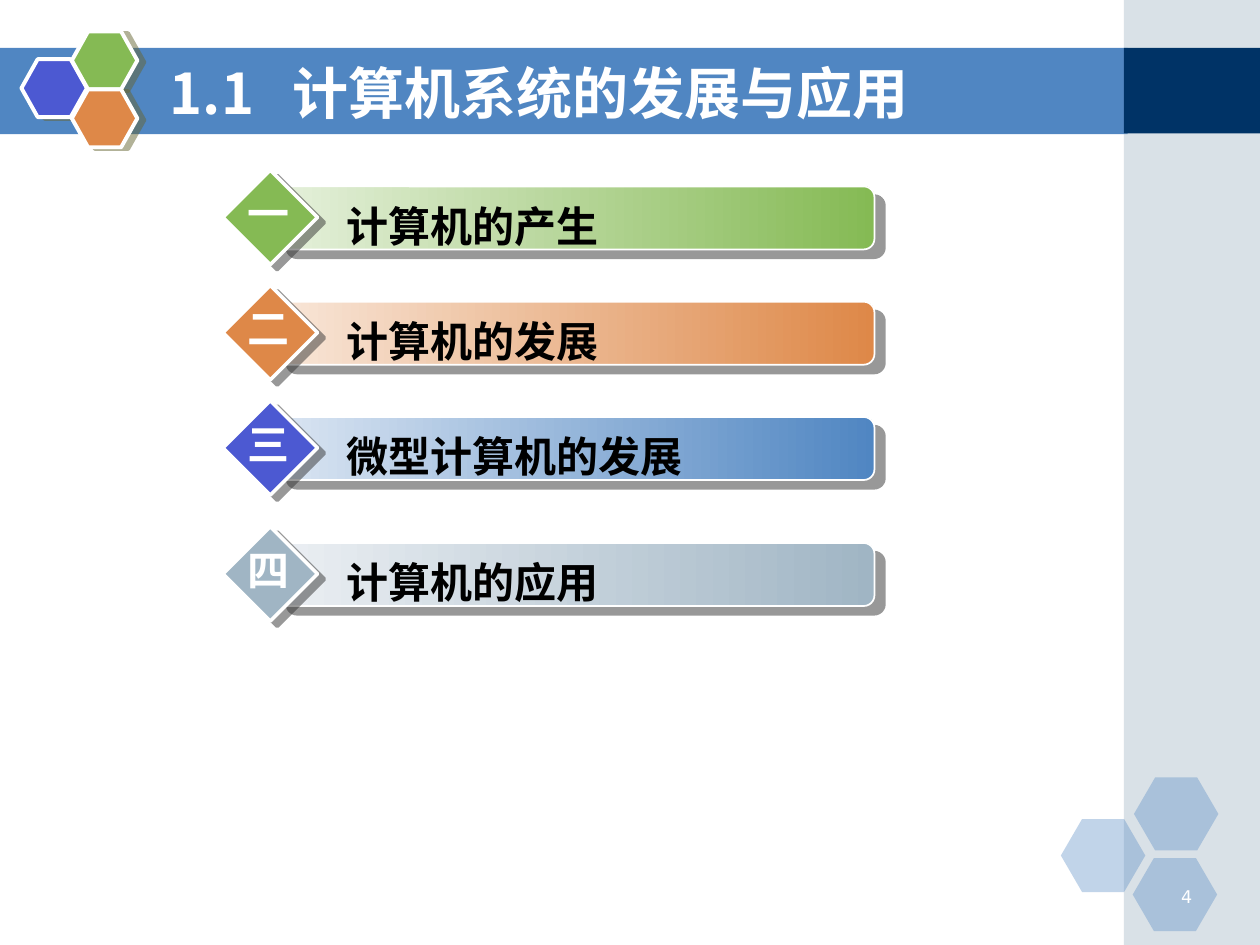
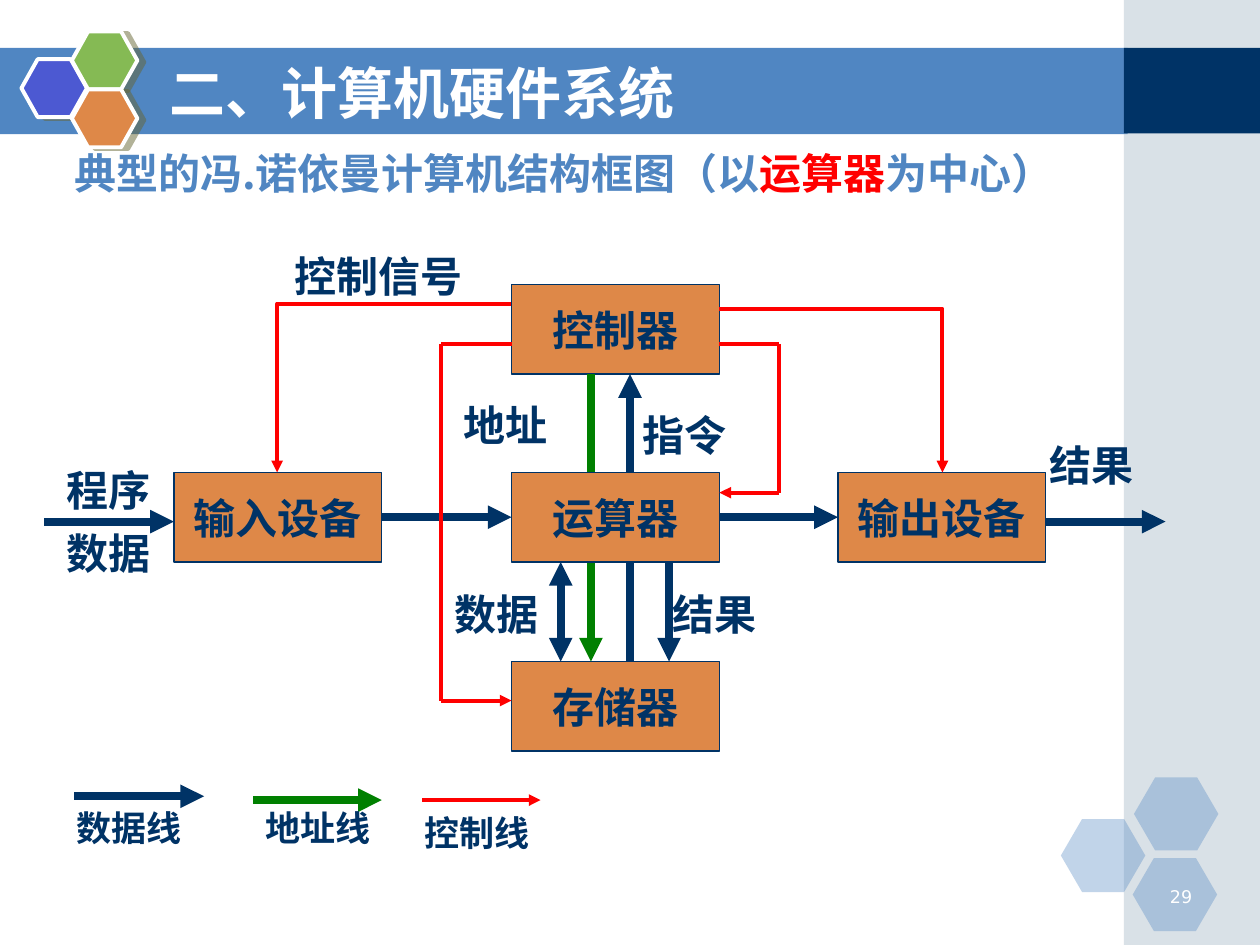
import dataclasses

import lxml.etree
import pptx
import pptx.dml.color
import pptx.enum.shapes
import pptx.enum.text
import pptx.oxml.ns
import pptx.util

SHAPE = pptx.enum.shapes.MSO_SHAPE
CONNECTOR = pptx.enum.shapes.MSO_CONNECTOR
ALIGN = pptx.enum.text.PP_ALIGN
ANCHOR = pptx.enum.text.MSO_ANCHOR
FIT = pptx.enum.text.MSO_AUTO_SIZE

# Grid of the 10 x 7.5 inch slide
COLUMNS, ROWS = 100, 75
TOP, LEFT, BOTTOM, RIGHT = range(4)


@dataclasses.dataclass(frozen=True)
class Theme:
    blue: str = "5086C2"
    navy: str = "003366"
    steel: str = "A0B5C4"
    violet: str = "4C59D2"
    green: str = "85BA54"
    orange: str = "DE8848"
    white: str = "FFFFFF"
    black: str = "000000"
    control: str = "FF0000"
    address: str = "008000"
    cjk: str = "Noto Sans CJK SC"
    serif: str = "Times New Roman"
    sans: str = "DejaVu Sans"
    title: int = 32
    body: int = 24
    legend: int = 20
    number: int = 10
    bus_width: float = 4.5
    control_width: float = 2.25
    # Shadows: colour, distance in points, direction in degrees
    logo_shadow: tuple = ("666633", 4.1, 14)
    bar_shadow: tuple = ("333333", 7.8, 40)
    diamond_shadow: tuple = ("333333", 5, 37)


def rgb(value):
    return pptx.dml.color.RGBColor.from_string(value)


def child(parent, tag, **attrs):
    """Append a DrawingML element with the given attributes."""
    el = lxml.etree.SubElement(parent, pptx.oxml.ns.qn("a:" + tag))
    for key, value in attrs.items():
        el.set(key, str(value))
    return el


def set_all(obj, values):
    for key, value in values.items():
        setattr(obj, key, value)


class Deck:
    def __init__(self, theme):
        self.theme = theme
        self.prs = pptx.Presentation()
        self.prs.slide_width = pptx.util.Inches(10)
        self.prs.slide_height = pptx.util.Inches(7.5)
        self.s = None

    def x(self, columns):
        return round(self.prs.slide_width * columns / COLUMNS)

    def y(self, rows):
        return round(self.prs.slide_height * rows / ROWS)

    def box(self, left, top, width, height):
        return self.x(left), self.y(top), self.x(width), self.y(height)

    def label(self, sp, runs, size, font=None, align=ALIGN.LEFT, tab=None,
              spacing=None, **frame):
        """Fill a shape with one paragraph of (text, colour) runs."""
        tf = sp.text_frame
        set_all(tf, {"word_wrap": True, **frame})
        p = tf.paragraphs[0]
        set_all(p, {"alignment": align, "line_spacing": spacing})
        if tab:
            tabs = child(p._p.get_or_add_pPr(), "tabLst")
            child(tabs, "tab", pos=self.x(tab), algn="l")
        font = font or self.theme.cjk
        for text, color in runs:
            r = p.add_run()
            r.text = text
            set_all(r.font, {"size": pptx.util.Pt(size), "name": font,
                             "bold": size != self.theme.number})
            r.font.color.rgb = rgb(color)
            child(r._r.get_or_add_rPr(), "ea", typeface=self.theme.cjk)

    def text(self, at, runs, size, **options):
        sp = self.s.shapes.add_textbox(*self.box(*at))
        self.label(sp, runs, size, **options)
        return sp

    def shape(self, kind, at, fill, line=None, width=1, alpha=None,
              adjust=None, shadow=None, fade_from=None):
        sp = self.s.shapes.add_shape(kind, *self.box(*at))
        sp.shadow.inherit = False
        if adjust is not None:
            sp.adjustments[0] = adjust
        if fade_from:
            sp.fill.gradient()
            sp.fill.gradient_angle = 0
            for stop, color in zip(sp.fill.gradient_stops, (fade_from, fill)):
                stop.color.rgb = rgb(color)
        else:
            sp.fill.solid()
            sp.fill.fore_color.rgb = rgb(fill)
        spPr = sp.element.spPr
        if alpha:
            color = spPr.find(".//" + pptx.oxml.ns.qn("a:srgbClr"))
            child(color, "alpha", val=alpha * 1000)
        if line:
            sp.line.color.rgb = rgb(line)
            sp.line.width = pptx.util.Pt(width)
        else:
            sp.line.fill.background()
        if shadow:
            color, distance, angle = shadow
            outer = child(spPr.find(pptx.oxml.ns.qn("a:effectLst")), "outerShdw",
                          dist=pptx.util.Pt(distance), dir=angle * 60000,
                          algn="ctr", rotWithShape=0)
            child(child(outer, "srgbClr", val=color), "alpha", val=50000)
        return sp

    def line(self, start, end, color, width, ends="tail", bent=False):
        kind = CONNECTOR.ELBOW if bent else CONNECTOR.STRAIGHT
        c = self.s.shapes.add_connector(kind, self.x(start[0]), self.y(start[1]),
                                        self.x(end[0]), self.y(end[1]))
        c.line.color.rgb = rgb(color)
        c.line.width = pptx.util.Pt(width)
        spPr = c.element.spPr
        if bent:
            spPr.find(pptx.oxml.ns.qn("a:prstGeom")).set("prst", "bentConnector2")
        for end_name in ends.split():
            child(spPr.find(pptx.oxml.ns.qn("a:ln")), end_name + "End",
                  type="triangle")
        child(spPr, "effectLst")
        return c

    def bus(self, start, end, color=None, ends="tail"):
        return self.line(start, end, color or self.theme.navy,
                         self.theme.bus_width, ends)

    def control(self, *points):
        """Draw a control route with an arrow on its last leg."""
        for i, (start, end) in enumerate(zip(points, points[1:]), 2):
            self.line(start, end, self.theme.control, self.theme.control_width,
                      "tail" if i == len(points) else "")

    def join(self, source, target):
        """Run a data arrow from a right side to the next left side."""
        c = self.bus((0, 0), (1, 1))
        c.begin_connect(source, RIGHT)
        c.end_connect(target, LEFT)

    def slide(self, title, number, tab=None):
        """Start a slide with the shared bands, hexagons, title and number."""
        t = self.theme
        self.s = self.prs.slides.add_slide(self.prs.slide_layouts[6])
        self.shape(SHAPE.RECTANGLE, (0, 3.8, 89.5, 6.85), t.blue)
        self.shape(SHAPE.RECTANGLE, (89.2, 0, 10.8, ROWS), t.steel, alpha=40)
        self.shape(SHAPE.RECTANGLE, (89.2, 3.8, 10.8, 6.8), t.navy)
        for left, top in ((84.2, 65), (90, 61.7), (89.9, 68.1)):
            self.shape(SHAPE.HEXAGON, (left, top, 6.7, 5.8), t.blue,
                       alpha=35, adjust=0.29)
        for left, top, color in ((1.7, 4.7, t.violet), (5.7, 2.5, t.green),
                                 (5.7, 7.1, t.orange)):
            self.shape(SHAPE.HEXAGON, (left, top, 5.2, 4.6), color, t.white, 2.25,
                       adjust=0.28, shadow=t.logo_shadow)
        self.text((90.6, 69.8, 5, 2.5), [(number, t.white)], t.number,
                  font=t.sans, align=ALIGN.RIGHT)
        self.text((12.5, 4.2, 73.3, 6.2), [(title, t.white)], t.title, tab=tab,
                  vertical_anchor=ANCHOR.MIDDLE)


def agenda_slide(d):
    t = d.theme
    d.slide("1.1\t计算机系统的发展与应用", "4", tab=9.7)
    entries = (
        (13.5, "一", "计算机的产生", t.green, t.green, "E5F0DB"),
        (22.65, "二", "计算机的发展", t.orange, t.orange, "F8E6D8"),
        (31.8, "三", "微型计算机的发展", t.violet, t.blue, "DAE5F2"),
        (41.8, "四", "计算机的应用", t.steel, t.steel, "EBEFF3"),
    )
    for top, numeral, label, diamond, bar, pale in entries:
        d.shape(SHAPE.ROUNDED_RECTANGLE, (21.9, top + 1.3, 47.5, 5), bar, t.white,
                adjust=0.17, shadow=t.bar_shadow, fade_from=pale)
        d.shape(SHAPE.DIAMOND, (17.7, top, 7.5, 7.5), diamond, t.white, 2,
                shadow=t.diamond_shadow)
        d.text((24.4, top + 1.9, 37.5, 5), [(label, t.black)], t.body,
               margin_left=d.x(3.1), auto_size=FIT.SHAPE_TO_FIT_TEXT)
        d.text((18.7, top + 0.9, 5.3, 5), [(numeral, t.white)], t.body,
               align=ALIGN.CENTER, word_wrap=False)


def hardware_slide(d):
    t = d.theme
    d.slide("二、计算机硬件系统", "29")
    d.text((4.9, 12, 81.4, 5.7),
           [("典型的冯.诺依曼计算机结构框图（以", t.blue), ("运算器", t.control),
            ("为中心）", t.blue)], t.body, spacing=0.8)

    # Units on a cross of three columns and three rows
    width, height = 16.5, 7.1
    left, center, right = 13.8, 40.6, 66.5
    upper, middle, lower = 22.6, 37.5, 52.5

    def unit(label, column, row):
        sp = d.shape(SHAPE.RECTANGLE, (column, row, width, height), t.orange,
                     t.navy, 0.75)
        d.label(sp, [(label, t.navy)], t.body, font=t.serif, align=ALIGN.CENTER,
                word_wrap=False, vertical_anchor=ANCHOR.MIDDLE)
        return sp

    input_unit = unit("输入设备", left, middle)
    output_unit = unit("输出设备", right, middle)
    unit("控制器", center, upper)
    unit("存储器", center, lower)

    # Vertical buses; the two long ones pass behind the arithmetic unit
    control_foot, alu_foot = upper + height, middle + height
    d.bus((50, lower), (50, control_foot))
    d.bus((46.9, control_foot), (46.9, lower), t.address)
    d.bus((53.1, alu_foot), (53.1, lower))
    d.bus((44.5, alu_foot), (44.5, lower), ends="head tail")
    alu = unit("运算器", center, middle)

    # Horizontal data flow
    d.join(input_unit, alu)
    d.join(alu, output_unit)
    d.bus((3.5, 41.4), (left, 41.4))
    d.bus((right + width, 41.4), (92.5, 41.4))

    # Control signals
    edge = center + width
    for start, end in (((edge, 24.5), (74.8, middle)),
                       ((center, 24.1), (22, middle))):
        d.line(start, end, t.control, t.control_width, bent=True)
    d.control((center, 27.3), (35, 27.3), (35, 55.6), (center, 55.6))
    d.control((edge, 27.3), (61.8, 27.3), (61.8, 39.1), (edge, 39.1))

    # Signal labels
    for label, column, row, span in (
            ("程序", 4.3, 36.4, 10.2), ("数据", 4.3, 41.4, 10.2),
            ("结果", 82.3, 34.4, 10.2), ("数据", 35.1, 46.2, 10.2),
            ("结果", 52.4, 46.2, 10.2), ("地址", 35.8, 31.2, 10.2),
            ("指令", 50, 32, 10.2), ("控制信号", 22.4, 19.4, 16.5)):
        d.text((column, row, span, 5), [(label, t.navy)], t.body, font=t.serif,
               auto_size=FIT.SHAPE_TO_FIT_TEXT)

    # Legend
    for label, column, row, start, end, line_row, color, weight in (
            ("数据线", 5.1, 63.5, 5.9, 16.2, 63.2, t.navy, t.bus_width),
            ("地址线", 20.1, 63.5, 20.1, 30.3, 63.5, t.address, t.bus_width),
            ("控制线", 32.7, 63.9, 33.5, 42.9, 63.5, t.control, t.control_width)):
        d.line((start, line_row), (end, line_row), color, weight)
        d.text((column, row, 11.8, 4.4), [(label, t.navy)], t.legend,
               font=t.serif, auto_size=FIT.SHAPE_TO_FIT_TEXT)


def main():
    d = Deck(Theme())
    agenda_slide(d)
    hardware_slide(d)
    d.prs.save("out.pptx")


if __name__ == "__main__":
    main()
